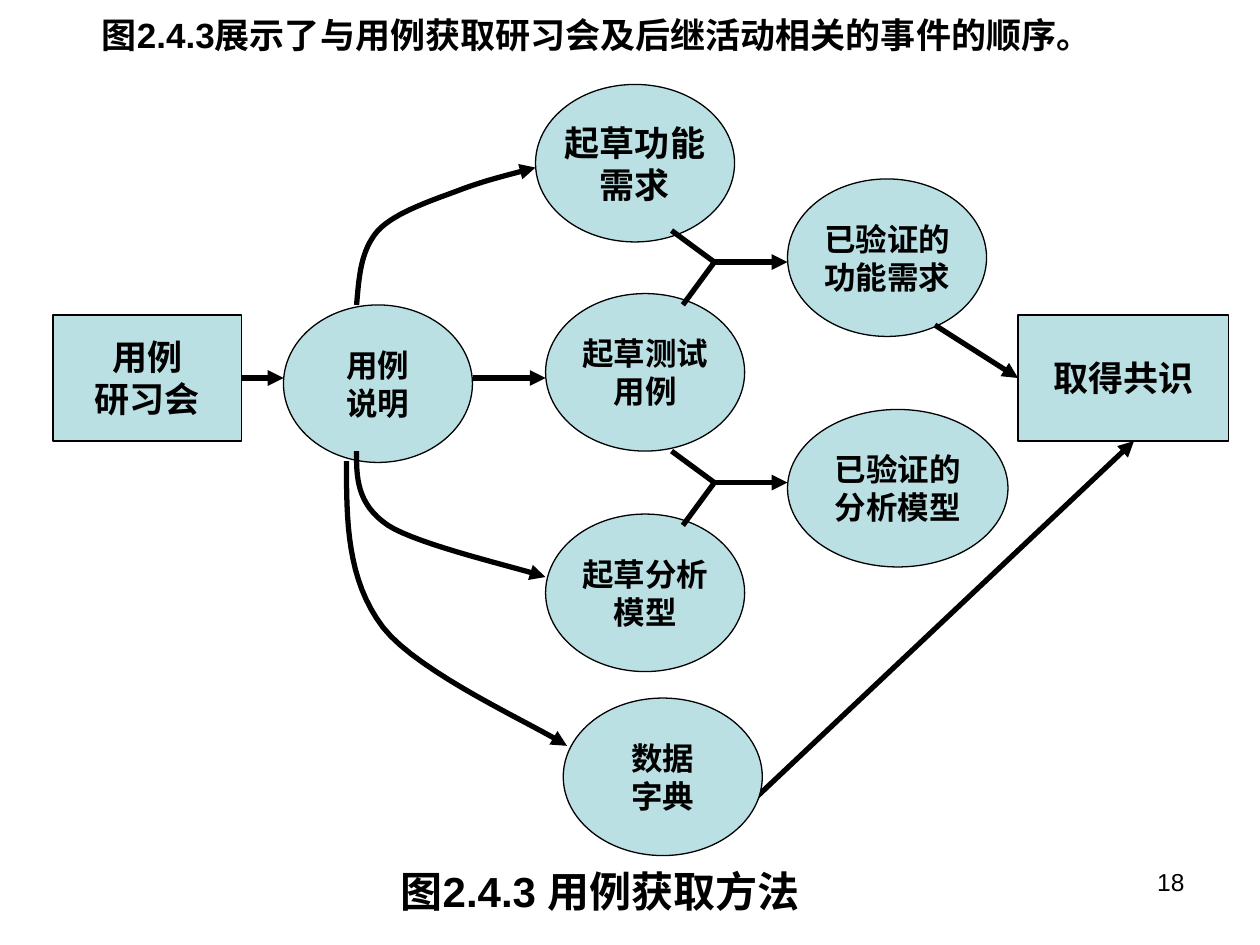
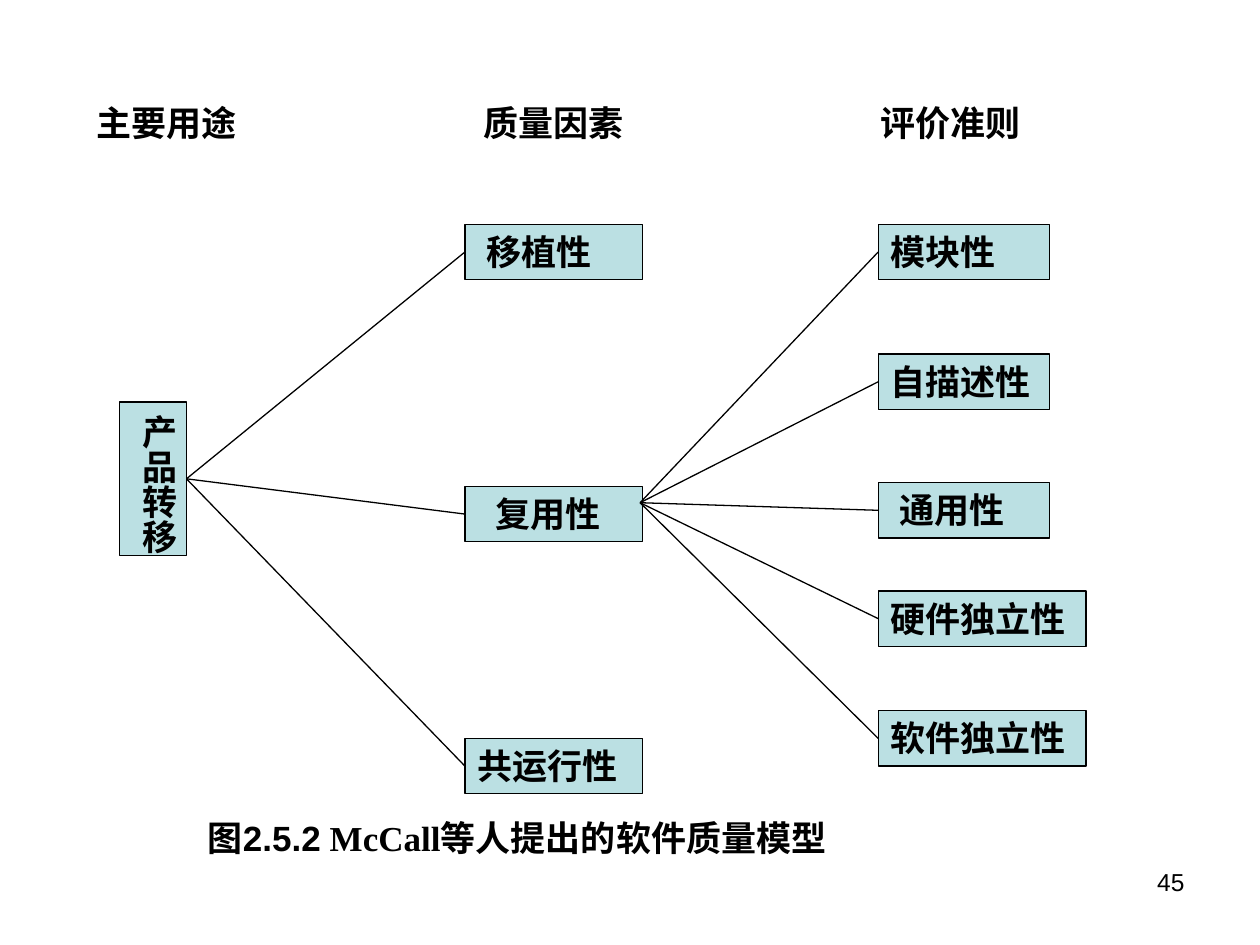
from dataclasses import dataclass

from lxml import etree
from pptx import Presentation
from pptx.dml.color import RGBColor
from pptx.enum import shapes, text
from pptx.oxml.ns import qn
from pptx.util import Inches, Pt


@dataclass(frozen=True)
class Theme:
    fill: RGBColor = RGBColor(0xBB, 0xE0, 0xE3)
    ink: RGBColor = RGBColor(0, 0, 0)
    sans: str = "Arial"
    serif: str = "Times New Roman"
    caption: int = 24
    large: int = 20
    medium: int = 18
    page: int = 14
    thin: float = 0.75
    thick: float = 3


T = Theme()
RECT, OVAL = shapes.MSO_SHAPE.RECTANGLE, shapes.MSO_SHAPE.OVAL
LEFT, CENTER, RIGHT = text.PP_ALIGN.LEFT, text.PP_ALIGN.CENTER, text.PP_ALIGN.RIGHT
PAGE_BOX = (7.17, 6.83, 2.33, 0.52)

# Slide 1 content: use case elicitation flow
INTRO = "图2.4.3展示了与用例获取研习会及后继活动相关的事件的顺序。"
FLOW_CAPTION = [("图2.4.3 用例获取方法", T.sans)]
FLOW_NODES = {  # name: (shape, box, text, size)
    "workshop": (RECT, (0.42, 2.5, 1.5, 1), "用例\n研习会", T.large),
    "consensus": (RECT, (8.08, 2.5, 1.67, 1), "取得共识", T.large),
    "use case": (OVAL, (2.25, 2.42, 1.5, 1.25), "用例\n说明", T.medium),
    "draft tests": (OVAL, (4.33, 2.33, 1.58, 1.25), "起草测试\n用例", T.medium),
    "draft functions": (OVAL, (4.25, 0.67, 1.58, 1.25), "起草功能\n需求", T.large),
    "draft model": (OVAL, (4.33, 4.08, 1.58, 1.25), "起草分析\n模型", T.medium),
    "checked functions": (OVAL, (6.25, 1.42, 1.58, 1.25), "已验证的\n功能需求", T.medium),
    "checked model": (OVAL, (6.25, 3.25, 1.75, 1.25), "已验证的\n分析模型", T.medium),
}
DICTIONARY = (OVAL, (4.47, 5.54, 1.58, 1.25), "数据\n字典", T.medium)
FLOW_ARROWS = [  # start, end, joined start, joined end
    ((1.92, 3), (2.25, 3), ("workshop", 3), None),
    ((3.75, 3), (4.33, 3), None, None),
    ((7.42, 2.58), (8.08, 3), None, ("consensus", 1)),
    ((6, 6.33), (9, 3.5), None, None),
]
MERGE_POINTS = [(5.67, 2.08), (5.67, 3.83)]
CURVES = [  # Bezier points: start, then three for each segment
    [(2.83, 2.42), (2.85, 2.2), (2.86, 1.99), (3, 1.83), (3.14, 1.68),
     (3.46, 1.58), (3.67, 1.5), (3.88, 1.42), (4.15, 1.36), (4.25, 1.33)],
    [(2.83, 3.58), (2.83, 3.79), (2.83, 4), (3.08, 4.17),
     (3.33, 4.33), (4.13, 4.51), (4.33, 4.58)],
    [(2.75, 3.66), (2.75, 4.13), (2.75, 4.6), (3.04, 4.98),
     (3.33, 5.35), (4.26, 5.76), (4.5, 5.92)],
]

# Slide 2 content: quality model tree
TREE_CAPTION = [("图", T.serif), ("2.5.2", T.sans),
                (" McCall等人提出的软件质量模型", T.serif)]
HEADINGS = [(0.67, "主要用途"), (3.74, "质量因素"), (6.89, "评价准则")]
USE = ((0.95, 3.19, 0.53, 1.22), "产品转移")
FACTORS = [(1.78, "移植性", 0.17), (3.86, "复用性", 0.24), (5.86, "共运行性", 0.1)]
CRITERIA = [  # top, width, text, left inset
    (1.78, 1.36, "模块性", 0.1),
    (2.81, 1.36, "自描述性", 0.1),
    (3.83, 1.36, "通用性", 0.17),
    (4.69, 1.65, "硬件独立性", 0.1),
    (5.64, 1.65, "软件独立性", 0.1),
]
FACTOR_X, FACTOR_W, CRITERIA_X, BOX_H = 3.69, 1.41, 6.97, 0.44
CRITERIA_ORIGIN = (5.08, 3.99)


# Shared helpers
def inches(values):
    return [Inches(v) for v in values]


def style_text(sp, size, font, align=LEFT, bold=True):
    for p in sp.text_frame.paragraphs:
        p.alignment = align
        for r in p.runs:
            r.font.size, r.font.name, r.font.bold = Pt(size), font, bold
            r.font.color.rgb = T.ink


def set_frame(sp, anchor=text.MSO_ANCHOR.TOP, wrap=True, insets=(0.1, 0.05, 0.1, 0.05)):
    tf = sp.text_frame
    tf.word_wrap, tf.vertical_anchor = wrap, anchor
    tf.auto_size = text.MSO_AUTO_SIZE.NONE
    tf.margin_left, tf.margin_top, tf.margin_right, tf.margin_bottom = inches(insets)


def add_text(s, box, words, size, font, align=LEFT, bold=True, right=0):
    sp = s.shapes.add_textbox(*inches(box))
    sp.text_frame.text = words
    set_frame(sp, insets=(0.1, 0.05, right, 0.05))
    style_text(sp, size, font, align, bold)


def add_box(s, kind, box, words):
    sp = s.shapes.add_shape(kind, *inches(box))
    sp.shadow.inherit = False
    sp.fill.solid()
    sp.fill.fore_color.rgb = T.fill
    sp.line.color.rgb, sp.line.width = T.ink, Pt(T.thin)
    sp.text_frame.text = words
    return sp


def style_line(sp, width, arrow):
    sp.line.color.rgb, sp.line.width = T.ink, Pt(width)
    if arrow:
        etree.SubElement(sp.line._get_or_add_ln(), qn("a:tailEnd"), type="triangle")


def add_line(s, start, end, width, arrow=False, join_start=None, join_end=None):
    c = s.shapes.add_connector(shapes.MSO_CONNECTOR.STRAIGHT, *inches(start + end))
    style_line(c, width, arrow)
    etree.SubElement(c.element.spPr, qn("a:effectLst"))
    if join_start:
        c.begin_connect(*join_start)
    if join_end:
        c.end_connect(*join_end)


def add_curve(s, points, steps=16):
    track = [points[0]]
    for i in range(0, len(points) - 1, 3):
        a, b, c, d = points[i:i + 4]
        for k in range(1, steps + 1):
            t = k / steps
            u = 1 - t
            track.append(tuple(u**3 * a[j] + 3 * u * u * t * b[j]
                               + 3 * u * t * t * c[j] + t**3 * d[j] for j in (0, 1)))
    track = [tuple(inches(pt)) for pt in track]
    fb = s.shapes.build_freeform(*track[0])
    fb.add_line_segments(track[1:], close=False)
    sp = fb.convert_to_shape()
    sp.shadow.inherit = False
    sp.fill.background()
    style_line(sp, T.thick, True)


def new_slide(prs, caption, box, size, page):
    s = prs.slides.add_slide(prs.slide_layouts[5])
    sp = s.shapes.title
    sp.left, sp.top, sp.width, sp.height = inches(box)
    p = sp.text_frame.paragraphs[0]
    for words, _ in caption:
        p.add_run().text = words
    set_frame(sp, insets=(0.1, 0.05, 0, 0.05))
    style_text(sp, size, T.sans)
    for r, (_, font) in zip(p.runs, caption):
        r.font.name = font
    add_text(s, PAGE_BOX, page, T.page, T.sans, RIGHT, False, right=0.1)
    return s


# Slide 1
def add_flow_node(s, kind, box, words, size):
    sp = add_box(s, kind, box, words)
    set_frame(sp, text.MSO_ANCHOR.MIDDLE, wrap=False)
    style_text(sp, size, T.sans, CENTER)
    return sp


def build_flow(prs):
    s = new_slide(prs, FLOW_CAPTION, (3.08, 6.82, 4.58, 0.5), T.caption, "18")
    add_text(s, (0.71, 0.06, 8.19, 0.44), INTRO, T.large, T.sans)
    nodes = {name: add_flow_node(s, *node) for name, node in FLOW_NODES.items()}
    for points in CURVES:
        add_curve(s, points)
    for start, end, *joins in FLOW_ARROWS:
        joins = [j and (nodes[j[0]], j[1]) for j in joins]
        add_line(s, start, end, T.thick, True, *joins)
    for x, y in MERGE_POINTS:
        add_line(s, (x, y), (x + 0.58, y), T.thick, True)
        add_line(s, (x - 0.34, y - 0.25), (x, y), T.thick)
        add_line(s, (x, y), (x - 0.25, y + 0.34), T.thick)
    add_flow_node(s, *DICTIONARY)  # covers the start of the long arrow


# Slide 2
def add_tree_box(s, x, y, width, words, inset):
    sp = add_box(s, RECT, (x, y, width, BOX_H), words)
    set_frame(sp, insets=(inset, 0.05, 0, 0.05))
    style_text(sp, T.large, T.serif)
    return sp


def build_tree(prs):
    s = new_slide(prs, TREE_CAPTION, (1.55, 6.43, 5.24, 0.44), T.large, "45")
    for x, words in HEADINGS:
        add_text(s, (x, 0.76, 1.6, 0.44), words, T.large, T.serif)

    use = add_box(s, RECT, *USE)
    set_frame(use, wrap=False, insets=(0.05, 0.1, 0.05, 0.1))
    use.text_frame.auto_size = text.MSO_AUTO_SIZE.SHAPE_TO_FIT_TEXT
    use.element.txBody.bodyPr.set("vert", "eaVert")
    style_text(use, T.large, T.serif)

    for y, words, inset in FACTORS:
        sp = add_tree_box(s, FACTOR_X, y, FACTOR_W, words, inset)
        add_line(s, (1.48, 3.8), (FACTOR_X, y + BOX_H / 2), T.thin,
                 join_start=(use, 3), join_end=(sp, 1))
    for y, width, words, inset in CRITERIA:
        sp = add_tree_box(s, CRITERIA_X, y, width, words, inset)
        add_line(s, CRITERIA_ORIGIN, (CRITERIA_X, y + BOX_H / 2), T.thin, join_end=(sp, 1))


def main():
    prs = Presentation()
    prs.slide_width, prs.slide_height = Inches(10), Inches(7.5)
    build_flow(prs)
    build_tree(prs)
    prs.save("out.pptx")


if __name__ == "__main__":
    main()
